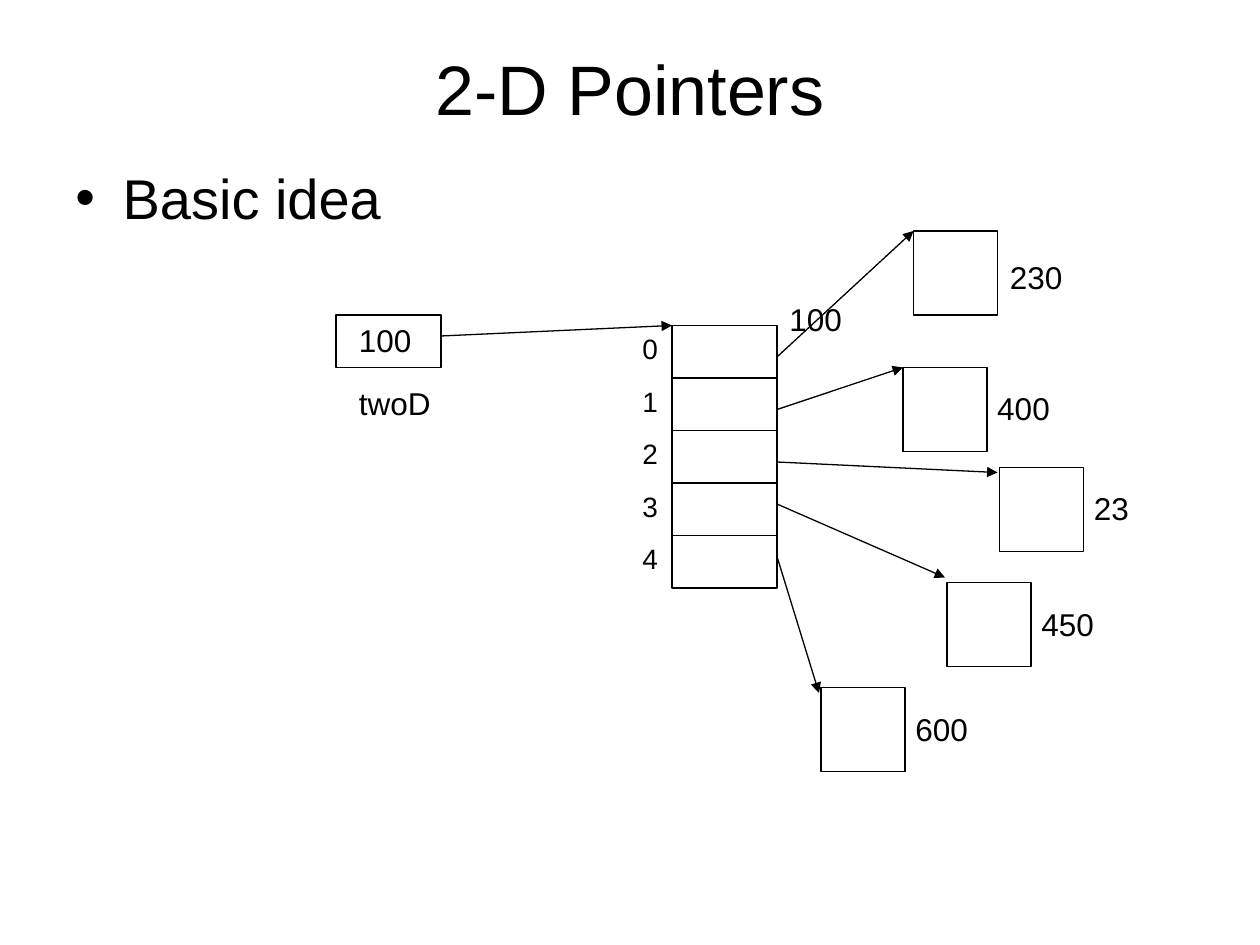
from dataclasses import dataclass

from lxml.etree import SubElement
from pptx import Presentation
from pptx.dml.color import RGBColor
from pptx.enum.shapes import MSO_CONNECTOR, MSO_SHAPE
from pptx.enum.text import MSO_ANCHOR, MSO_AUTO_SIZE, PP_ALIGN
from pptx.oxml.ns import qn
from pptx.util import Pt

PX = 7620
CELL_WIDTH, CELL_HEIGHT = 100, 50
ARRAY_LEFT, ARRAY_TOP = 640, 310
ARRAY_RIGHT = ARRAY_LEFT + CELL_WIDTH
CELL_COUNT = 5
TARGET_SIZE = 80
ADDRESS_SIZE = 75, 48

# value, box corner, label corner, arrow start height, arrow end
TARGETS = [
    ("230", (870, 220), (950, 240), 340, (870, 220)),
    ("400", (860, 350), (938, 365), 390, (860, 350)),
    ("23", (952, 445), (1030, 460), 440, (950, 450)),
    ("450", (902, 555), (980, 570), 480, (900, 550)),
    ("600", (782, 655), (860, 670), 530, (780, 660)),
]


@dataclass(frozen=True)
class Theme:
    """Colours, font and sizes of the slide."""
    ink: RGBColor = RGBColor(0, 0, 0)
    paper: RGBColor = RGBColor(255, 255, 255)
    font: str = "Arial"
    title: int = 40
    body: int = 32
    label: int = 18
    index: int = 16
    line: float = 0.75


THEME = Theme()


def scaled(*lengths):
    """Turn px lengths into EMU."""
    return [length * PX for length in lengths]


def add_bullet(paragraph, indent):
    """Give a paragraph a round bullet with a hanging indent."""
    properties = paragraph._p.get_or_add_pPr()
    properties.set("marL", str(indent * PX))
    properties.set("indent", str(-indent * PX))
    SubElement(properties, qn("a:buFont"), typeface=THEME.font)
    SubElement(properties, qn("a:buChar"), char="•")


def add_text(slide, text, left, top, width, height, *, size=THEME.label,
             align=PP_ALIGN.LEFT, anchor=MSO_ANCHOR.TOP, wrap=False, bullet_indent=0):
    """Add a text box holding one formatted paragraph."""
    box = slide.shapes.add_textbox(*scaled(left, top, width, height))
    frame = box.text_frame
    frame.word_wrap = wrap
    frame.auto_size = MSO_AUTO_SIZE.NONE if wrap else MSO_AUTO_SIZE.SHAPE_TO_FIT_TEXT
    frame.vertical_anchor = anchor
    paragraph = frame.paragraphs[0]
    paragraph.alignment = align
    if bullet_indent:
        add_bullet(paragraph, bullet_indent)
    run = paragraph.add_run()
    run.text = text
    run.font.name = THEME.font
    run.font.size = Pt(size)
    run.font.color.rgb = THEME.ink


def add_box(slide, left, top, width, height):
    """Add an unfilled outlined rectangle."""
    shape = slide.shapes.add_shape(MSO_SHAPE.RECTANGLE, *scaled(left, top, width, height))
    shape.shadow.inherit = False
    shape.fill.background()
    shape.line.color.rgb = THEME.ink
    shape.line.width = Pt(THEME.line)


def add_line(slide, start, end, arrow=False):
    """Add a straight line, with an arrowhead at its end if asked."""
    connector = slide.shapes.add_connector(MSO_CONNECTOR.STRAIGHT, *scaled(*start, *end))
    connector.line.color.rgb = THEME.ink
    connector.line.width = Pt(THEME.line)
    if arrow:
        SubElement(connector.line._get_or_add_ln(), qn("a:tailEnd"), type="triangle")
    SubElement(connector._element.spPr, qn("a:effectLst"))


def add_pointer(slide):
    """Add the twoD variable and its arrow to the array."""
    add_box(slide, 320, 300, CELL_WIDTH, CELL_HEIGHT)
    add_text(slide, "twoD", 330, 360, 93, 48)
    add_text(slide, "100", 330, 300, *ADDRESS_SIZE)
    add_line(slide, (420, 320), (ARRAY_LEFT, ARRAY_TOP), arrow=True)


def add_array(slide):
    """Add the array of pointers with its indices and address."""
    add_box(slide, ARRAY_LEFT, ARRAY_TOP, CELL_WIDTH, CELL_COUNT * CELL_HEIGHT)
    for index in range(CELL_COUNT):
        top = ARRAY_TOP + index * CELL_HEIGHT
        if index:
            add_line(slide, (ARRAY_LEFT, top), (ARRAY_RIGHT, top))
        add_text(slide, str(index), 600, top, 39, 44, size=THEME.index)
    add_text(slide, "100", ARRAY_RIGHT, 280, *ADDRESS_SIZE)


def add_target(slide, value, box, label, start_height, arrow_end):
    """Add a block of memory, its address and the arrow to it."""
    add_box(slide, *box, TARGET_SIZE, TARGET_SIZE)
    width, height = ADDRESS_SIZE
    add_text(slide, value, *label, 58 if len(value) == 2 else width, height)
    add_line(slide, (ARRAY_RIGHT, start_height), arrow_end, arrow=True)


def main():
    """Build and save the slide."""
    presentation = Presentation()
    presentation.slide_width, presentation.slide_height = scaled(1200, 900)
    slide = presentation.slides.add_slide(presentation.slide_layouts[6])
    slide.background.fill.solid()
    slide.background.fill.fore_color.rgb = THEME.paper
    add_text(slide, "2-D Pointers", 60, 36, 1080, 94, size=THEME.title,
             align=PP_ALIGN.CENTER, anchor=MSO_ANCHOR.MIDDLE, wrap=True)
    add_text(slide, "Basic idea", 60, 150, 1090, 110, size=THEME.body,
             wrap=True, bullet_indent=45)
    add_pointer(slide)
    add_array(slide)
    for target in TARGETS:
        add_target(slide, *target)
    presentation.save("out.pptx")


if __name__ == "__main__":
    main()
